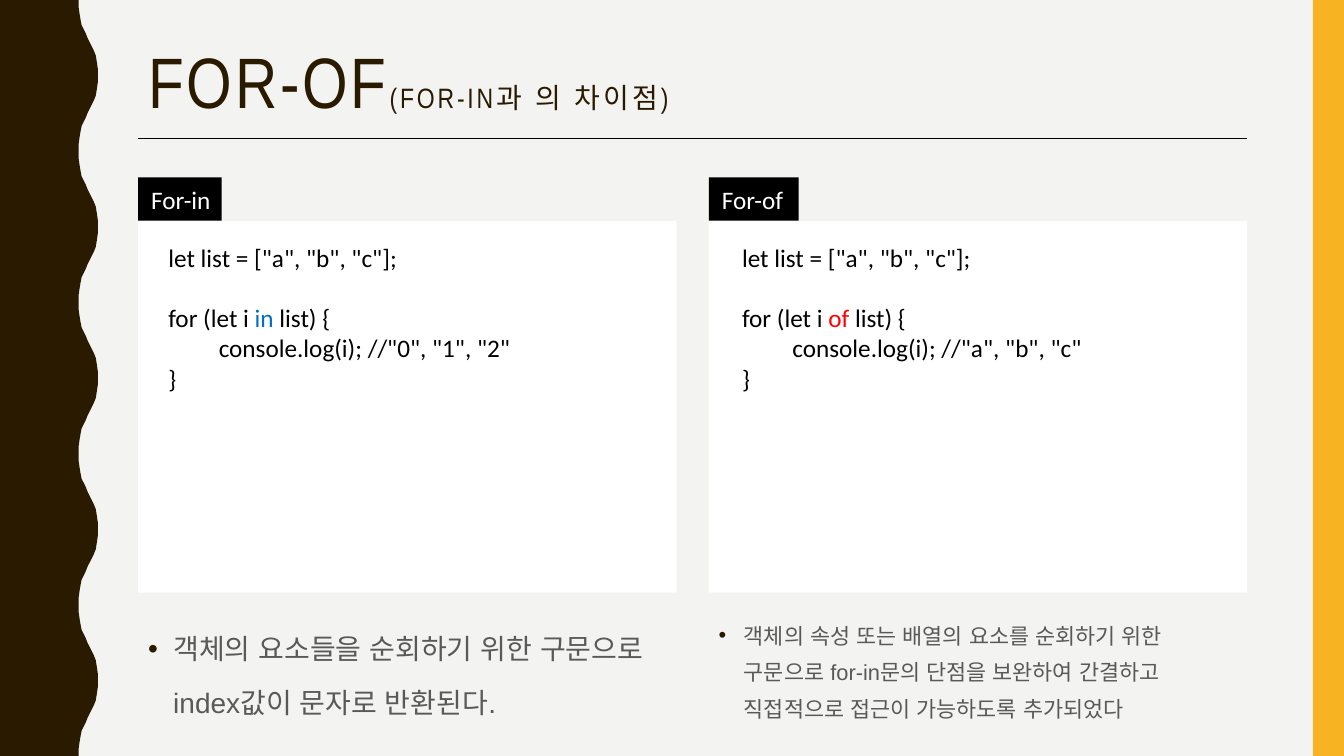
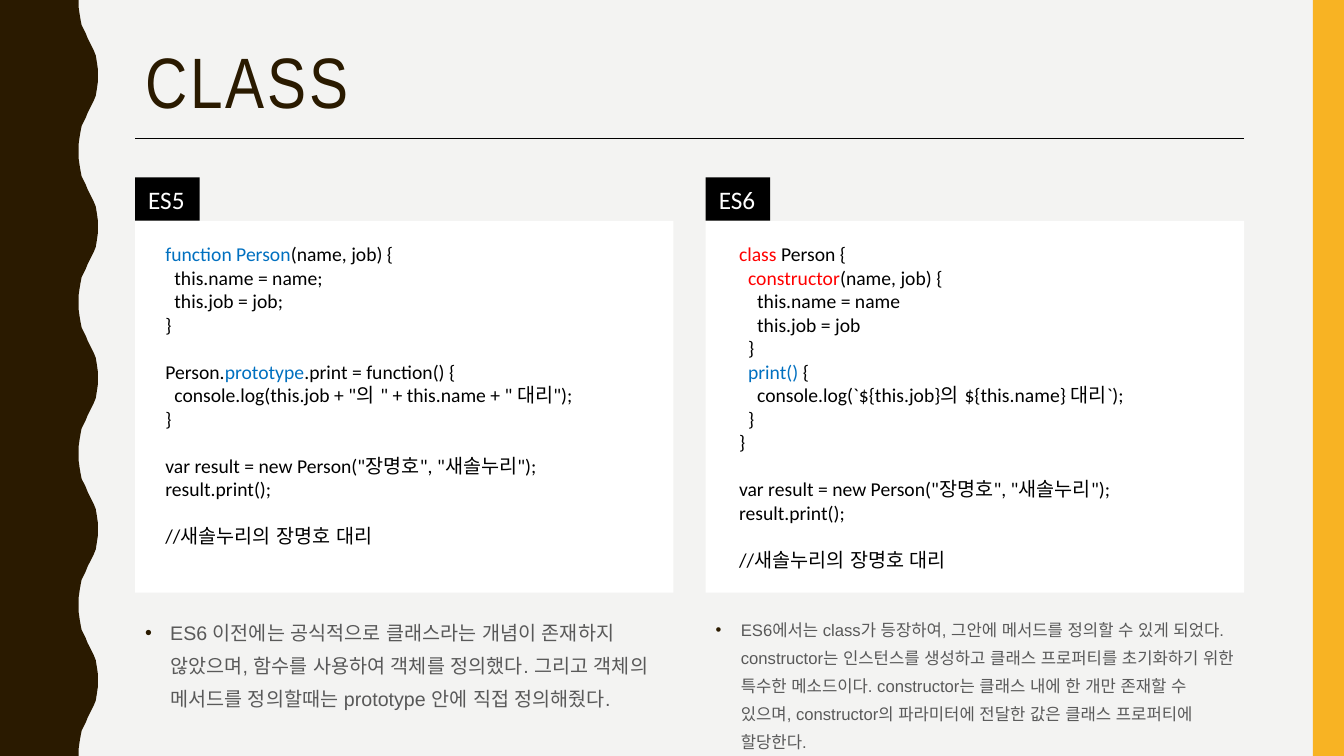
import pptx
import pptx.dml.color
import pptx.enum.lang
import pptx.enum.shapes
import pptx.enum.text
import pptx.oxml
import pptx.oxml.ns
import pptx.util

Inches = pptx.util.Inches
Pt = pptx.util.Pt
RGBColor = pptx.dml.color.RGBColor
RECTANGLE = pptx.enum.shapes.MSO_SHAPE.RECTANGLE
TOP = pptx.enum.text.MSO_ANCHOR.TOP
MIDDLE = pptx.enum.text.MSO_ANCHOR.MIDDLE
KOREAN = pptx.enum.lang.MSO_LANGUAGE_ID.KOREAN

BROWN = RGBColor(0x2A, 0x1A, 0x00)
YELLOW = RGBColor(0xF8, 0xB3, 0x23)
PAPER = RGBColor(0xF3, 0xF3, 0xF2)
WHITE = RGBColor(0xFF, 0xFF, 0xFF)
BLACK = RGBColor(0x00, 0x00, 0x00)
GRAY = RGBColor(0x59, 0x59, 0x59)
BLUE = RGBColor(0x00, 0x70, 0xC0)
RED = RGBColor(0xFF, 0x00, 0x00)

COLUMN_WIDTH = 5.34
COLUMN_STEP = 5.66
CONTENT_WIDTH = COLUMN_STEP + COLUMN_WIDTH
LINE_HEIGHT = 1.2

# A code line is (depth, span, ...); a span is text or (text, colour); () leaves a gap.
SLIDES = [
    {
        "title": ["FOR-OF", "(FOR-IN과 의 차이점)"],
        "left": 1.37, "code_size": 18, "indent": 0.5,
        "columns": [
            {
                "label": "For-in", "label_width": 0.83, "inset": 0.3,
                "code": [
                    (0, 'let list = ["a", "b", "c"];'),
                    (),
                    (0, "for (let i", (" in ", BLUE), "list) {"),
                    (1, 'console.log(i); //"0", "1", "2"'),
                    (0, "}"),
                ],
                "note": "객체의 요소들을 순회하기 위한 구문으로 index값이 문자로 반환된다.",
                "note_size": 20, "note_spacing": 1.6,
            },
            {
                "label": "For-of", "label_width": 0.89, "inset": 0.33,
                "code": [
                    (0, 'let list = ["a", "b", "c"];'),
                    (),
                    (0, "for (let i ", ("of", RED), " list) {"),
                    (1, 'console.log(i); //"a", "b", "c"'),
                    (0, "}"),
                ],
                "note": "객체의 속성 또는 배열의 요소를 순회하기 위한 구문으로 for-in문의 "
                        "단점을 보완하여 간결하고 직접적으로 접근이 가능하도록 추가되었다",
                "note_size": 15.6, "note_spacing": 1.4,
            },
        ],
    },
    {
        "title": ["CLASS"],
        "left": 1.34, "code_size": 14, "indent": 0.09,
        "columns": [
            {
                "label": "ES5", "label_width": 0.64, "inset": 0.3,
                "code": [
                    (0, ("function Person", BLUE), "(name, job) {"),
                    (1, "this.name = name;"),
                    (1, "this.job = job;"),
                    (0, "}"),
                    (),
                    (0, "Person.", ("prototype", BLUE), ".print = function() {"),
                    (1, 'console.log(this.job + "의 " + this.name + " 대리");'),
                    (0, "}"),
                    (),
                    (0, 'var result = new Person("장명호", "새솔누리");'),
                    (0, "result.print();"),
                    (),
                    (0, "//새솔누리의 장명호 대리"),
                ],
                "note": "ES6 이전에는 공식적으로 클래스라는 개념이 존재하지 않았으며, 함수를 "
                        "사용하여 객체를 정의했다. 그리고 객체의 메서드를 정의할때는 prototype "
                        "안에 직접 정의해줬다.",
                "note_size": 14, "note_spacing": 1.4,
            },
            {
                "label": "ES6", "label_width": 0.64, "inset": 0.33,
                "code": [
                    (0, ("class", RED), " Person {"),
                    (1, ("constructor", RED), "(name, job) {"),
                    (2, "this.name = name"),
                    (2, "this.job = job"),
                    (1, "}"),
                    (1, ("print() ", BLUE), "{"),
                    (2, "console.log(`${this.job}의 ${this.name} 대리`);"),
                    (1, "}"),
                    (0, "}"),
                    (),
                    (0, 'var result = new Person("장명호", "새솔누리");'),
                    (0, "result.print();"),
                    (),
                    (0, "//새솔누리의 장명호 대리"),
                ],
                "note": "ES6에서는 class가 등장하여, 그안에 메서드를 정의할 수 있게 되었다. "
                        "constructor는 인스턴스를 생성하고 클래스 프로퍼티를 초기화하기 위한 "
                        "특수한 메소드이다. constructor는 클래스 내에 한 개만 존재할 수 있으며, "
                        "constructor의 파라미터에 전달한 값은 클래스 프로퍼티에 할당한다.",
                "note_size": 11.9, "note_spacing": 1.4,
            },
        ],
    },
]


def write(box, lines, size, font="Calibri", color=BLACK, anchor=TOP, wrap=True,
          inset=0.1, top_inset=0.05, indent=0, spacing=None, before=0, bullet=None):
    """Fill box with lines of (depth, span, ...), where () adds a gap before the next line."""
    frame = box.text_frame
    frame.word_wrap = wrap
    frame.auto_size = pptx.enum.text.MSO_AUTO_SIZE.NONE
    frame.vertical_anchor = anchor
    frame.margin_left, frame.margin_top = Inches(inset), Inches(top_inset)
    frame.margin_right, frame.margin_bottom = Inches(0.1), Inches(0.05)
    para, gap = frame.paragraphs[0], before
    for line in lines:
        if not line:
            gap = size * LINE_HEIGHT
            continue
        if para.runs:
            para = frame.add_paragraph()
        depth, *spans = line
        para.alignment = pptx.enum.text.PP_ALIGN.LEFT
        para.space_before = Pt(gap)
        para.line_spacing = spacing
        gap = before
        properties = para._p.get_or_add_pPr()
        properties.set("marL", str(Inches(0.25 if bullet else depth * indent)))
        properties.set("indent", str(Inches(-0.25 if bullet else 0)))
        if bullet:
            space = pptx.oxml.ns.nsdecls("a")
            for markup in (f'<a:buClr {space}><a:srgbClr val="{BROWN}"/></a:buClr>',
                           f'<a:buFont {space} typeface="Arial"/>',
                           f'<a:buChar {space} char="{bullet}"/>'):
                properties.append(pptx.oxml.parse_xml(markup))
        for span in spans:
            text, span_color = (span, color) if isinstance(span, str) else span
            run = para.add_run()
            run.text = text
            run.font.name = font
            run.font.size = Pt(size)
            run.font.color.rgb = span_color
            run.font.language_id = KOREAN


def paint(shape, color):
    shape.shadow.inherit = False
    shape.fill.solid()
    shape.fill.fore_color.rgb = color
    shape.line.fill.background()
    return shape


deck = pptx.Presentation()
deck.slide_width, deck.slide_height = Inches(13.33), Inches(7.5)
background = deck.slide_master.background.fill
background.solid()
background.fore_color.rgb = PAPER
layout = deck.slide_layouts.get_by_name("Title Only")
pages = [deck.slides.add_slide(layout) for slide in SLIDES]

# The wavy band and the side stripe are drawn once and moved to the layout.
half_wave = [(0.78, 0), (0.78, 0.07), (0.79, 0.14), (0.8, 0.2), (0.81, 0.25), (0.83, 0.29),
             (0.85, 0.33), (0.87, 0.38), (0.89, 0.42), (0.91, 0.46), (0.93, 0.5),
             (0.95, 0.55), (0.96, 0.61), (0.97, 0.68), (0.97, 0.75)]
wave = half_wave + [(x, 1.5 - y) for x, y in reversed(half_wave[:-1])]
edge = [(Inches(x), Inches(1.5 * index + y)) for index in range(5) for x, y in wave]
shapes = pages[0].shapes
outline = shapes.build_freeform(0, 0, scale=1.0)
outline.add_line_segments(edge + [(0, Inches(7.5))], close=True)
band = paint(outline.convert_to_shape(), BROWN)
stripe = paint(shapes.add_shape(RECTANGLE, Inches(13.02), 0, Inches(0.31), Inches(7.5)), YELLOW)
for position, shape in enumerate((band, stripe), start=2):
    layout.shapes.element.insert(position, shape.element)

for page, slide in zip(pages, SLIDES):
    shapes, left = page.shapes, slide["left"]

    title = shapes.title
    title.left, title.top = Inches(left), Inches(0.41)
    title.width, title.height = Inches(CONTENT_WIDTH), Inches(1.03)
    write(title, [(0, *slide["title"])], 51, font="Arial Narrow", color=BROWN, spacing=0.9)
    for run in title.text_frame.paragraphs[0].runs[1:]:
        run.font.size = Pt(20)
    for properties in title.element.iter(pptx.oxml.ns.qn("a:rPr")):
        properties.set("spc", "200")

    rule = shapes.add_connector(pptx.enum.shapes.MSO_CONNECTOR.STRAIGHT, Inches(left),
                                Inches(1.37), Inches(left + CONTENT_WIDTH), Inches(1.37))
    rule.line.color.rgb = BLACK
    rule.line.width = Pt(0.5)
    rule.element.spPr.append(
        pptx.oxml.parse_xml(f'<a:effectLst {pptx.oxml.ns.nsdecls("a")}/>'))

    for index, column in enumerate(slide["columns"]):
        x = Inches(left + index * COLUMN_STEP)
        width = Inches(COLUMN_WIDTH)

        panel = paint(shapes.add_shape(RECTANGLE, x, Inches(2.19), width, Inches(3.69)), WHITE)
        write(panel, column["code"], slide["code_size"], inset=column["inset"],
              top_inset=0.21, indent=slide["indent"])

        label = paint(shapes.add_shape(RECTANGLE, x, Inches(1.76),
                                       Inches(column["label_width"]), Inches(0.43)), BLACK)
        write(label, [(0, column["label"])], 18, color=WHITE, anchor=MIDDLE,
              wrap=False, inset=0.13)

        note = shapes.add_textbox(x, Inches(6.02), width, Inches(1.48))
        write(note, [(0, column["note"])], column["note_size"], font="Arial", color=GRAY,
              spacing=column["note_spacing"], before=7, bullet="•")

deck.save("out.pptx")
